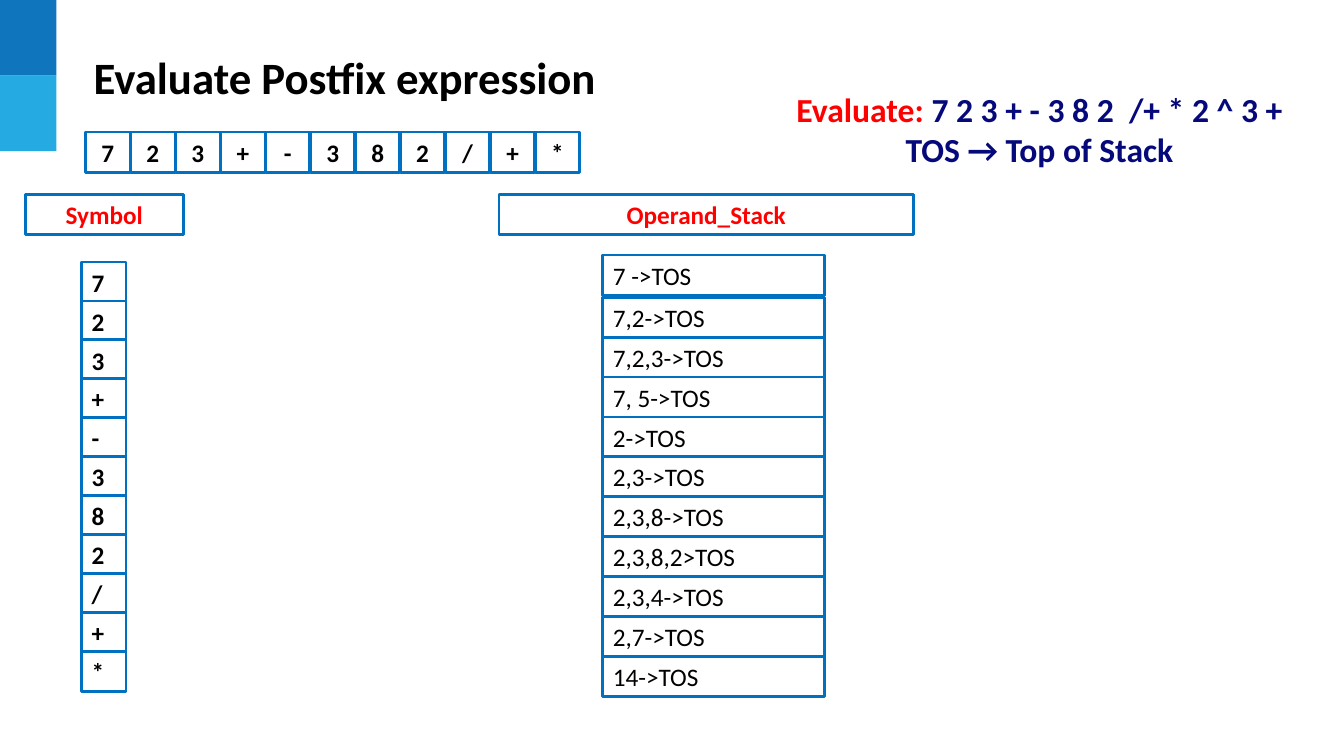
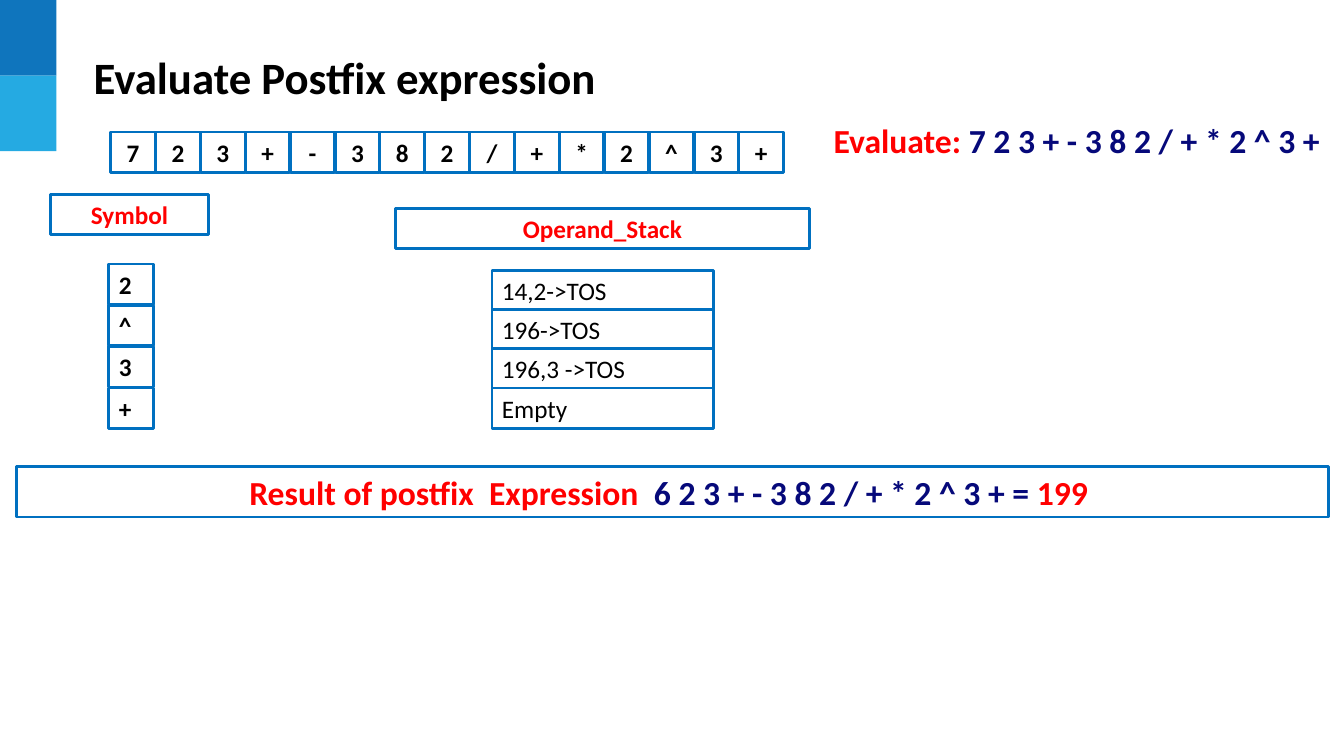
"""Build two slides that evaluate a postfix expression with a stack."""
import pptx
import pptx.dml.color
import pptx.enum.shapes
import pptx.enum.text
import pptx.util

Inches = pptx.util.Inches
Pt = pptx.util.Pt
RGBColor = pptx.dml.color.RGBColor
ALIGN = pptx.enum.text.PP_ALIGN
ANCHOR = pptx.enum.text.MSO_ANCHOR
RECT = pptx.enum.shapes.MSO_SHAPE.RECTANGLE

DARK = RGBColor(0x0F, 0x75, 0xBD)
LIGHT = RGBColor(0x25, 0xAA, 0xE2)
EDGE = RGBColor(0x00, 0x70, 0xC0)
RED = RGBColor(0xFF, 0x00, 0x00)
NAVY = RGBColor(0x06, 0x09, 0x7A)
BLACK = RGBColor(0x00, 0x00, 0x00)
WHITE = RGBColor(0xFF, 0xFF, 0xFF)

FONT = "Calibri"
HIGH = 0.4
SLIM = 0.44
WIDE = 2.2
ROW_TOP = 1.31


class Deck:
    def __init__(self):
        self.file = pptx.Presentation()
        self.file.slide_width = Inches(13.33)
        self.file.slide_height = Inches(7.5)
        self.slide = None

    def page(self, title):
        self.slide = self.file.slides.add_slide(self.file.slide_layouts[6])
        for index, color in enumerate((DARK, LIGHT)):
            self.rect((0, index * 0.75, 0.56, 0.75), color)
        self.label((0.83, 0.43, 9.02, 0.65), [[(title, BLACK)]], 32, ALIGN.LEFT)

    def rect(self, area, color):
        shape = self.slide.shapes.add_shape(RECT, *map(Inches, area))
        shape.shadow.inherit = False
        shape.fill.solid()
        shape.fill.fore_color.rgb = color
        shape.line.fill.background()
        return shape

    def letter(self, shape, lines, size, align, anchor, bold):
        frame = shape.text_frame
        frame.word_wrap = True
        frame.vertical_anchor = anchor
        for index, parts in enumerate(lines):
            para = frame.add_paragraph() if index else frame.paragraphs[0]
            para.alignment = align
            for text, color in parts:
                run = para.add_run()
                run.text = text
                run.font.name = FONT
                run.font.size = Pt(size)
                run.font.bold = bold
                run.font.color.rgb = color

    def label(self, area, lines, size=24, align=ALIGN.CENTER):
        shape = self.slide.shapes.add_textbox(*map(Inches, area))
        self.letter(shape, lines, size, align, ANCHOR.MIDDLE, True)

    def box(self, area, parts, size=18, align=ALIGN.CENTER, anchor=ANCHOR.TOP, bold=True):
        shape = self.rect(area, WHITE)
        shape.line.color.rgb = EDGE
        shape.line.width = Pt(2)
        self.letter(shape, [parts], size, align, anchor, bold)

    def head(self, left, top, width, text):
        self.box((left, top, width, HIGH), [(text, RED)])

    def row(self, first, last, items):
        step = (last - first) / (len(items) - 1)
        for index, text in enumerate(items):
            area = (first + index * step, ROW_TOP, SLIM, HIGH)
            self.box(area, [(text, BLACK)], anchor=ANCHOR.MIDDLE)

    def stack(self, left, first, last, width, items, bold=False):
        step = (last - first) / max(len(items) - 1, 1)
        for index, text in enumerate(items):
            area = (left, first + index * step, width, HIGH)
            self.box(area, [(text, BLACK)], align=ALIGN.LEFT, bold=bold)


def main():
    deck = Deck()
    title = "Evaluate Postfix expression"
    start = "7 2 3 + - 3 8 2 / + *".split()
    rest = "2 ^ 3 +".split()

    deck.page(title)
    deck.label((7.54, 0.85, 5.54, 0.86), [
        [("Evaluate: ", RED), ("7 2 3 + - 3 8 2  /+ * 2 ^ 3 +", NAVY)],
        [("TOS → Top of Stack", NAVY)],
    ])
    deck.row(0.85, 5.31, start)
    deck.head(0.25, 1.93, 1.57, "Symbol")
    deck.head(4.95, 1.93, 4.11, "Operand_Stack")
    deck.stack(0.81, 2.6, 6.46, SLIM, start, bold=True)
    deck.stack(5.98, 2.53, 2.53, WIDE, ["7 ->TOS"])
    deck.stack(5.98, 2.95, 6.51, WIDE, [
        "7,2->TOS", "7,2,3->TOS", "7, 5->TOS", "2->TOS", "2,3->TOS",
        "2,3,8->TOS", "2,3,8,2>TOS", "2,3,4->TOS", "2,7->TOS", "14->TOS",
    ])

    deck.page(title)
    deck.label((8.03, 1.06, 5.3, 0.65), [
        [("Evaluate: ", RED), ("7 2 3 + - 3 8 2 / + * 2 ^ 3 +", NAVY)],
    ])
    deck.row(1.1, 7.33, start + rest)
    deck.head(0.5, 1.93, 1.57, "Symbol")
    deck.head(3.92, 2.07, 4.11, "Operand_Stack")
    deck.stack(1.08, 2.62, 3.85, SLIM, rest, bold=True)
    deck.stack(4.88, 2.68, 3.85, WIDE, ["14,2->TOS", "196->TOS", "196,3 ->TOS", "Empty"])
    deck.box((0.16, 4.63, 13.02, 0.5), [
        ("Result of postfix  Expression  ", RED),
        ("6 2 3 + - 3 8 2 / + * 2 ^ 3 + = ", NAVY),
        ("199 ", RED),
    ], size=24)

    deck.file.save("out.pptx")


if __name__ == "__main__":
    main()
